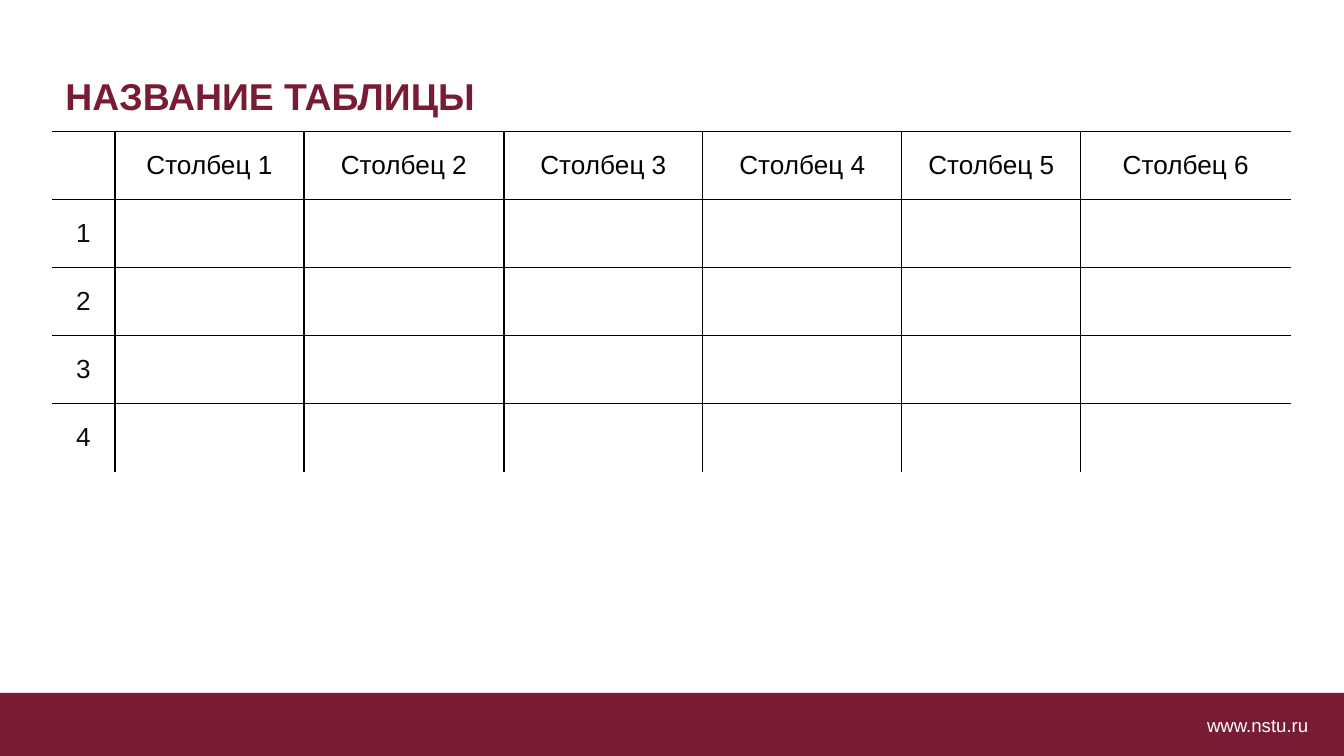
import pptx
import pptx.util
import pptx.dml.color
import pptx.enum.shapes
import pptx.enum.text
import pptx.oxml.ns
from lxml import etree

RGBColor = pptx.dml.color.RGBColor
PP_ALIGN = pptx.enum.text.PP_ALIGN
MAROON = RGBColor(0x78, 0x1C, 0x33)
WHITE = RGBColor(0xFF, 0xFF, 0xFF)
BLACK = RGBColor(0, 0, 0)
DARK = RGBColor(0x0D, 0x0D, 0x0D)

EMU_PER_PX = 914400 / 134.4
COL_WIDTHS = [63, 189, 200, 199, 199, 179, 210]
ROWS = 6

TITLE = {"size": pptx.util.Pt(20), "bold": True}
BODY = {"size": pptx.util.Pt(14), "bold": False}
SMALL = {"size": pptx.util.Pt(10), "bold": False}


def px(n):
    return pptx.util.Emu(round(n * EMU_PER_PX))


def write(tf, text, formats, color, align=PP_ALIGN.LEFT):
    p = tf.paragraphs[0]
    p.alignment = align
    r = p.add_run()
    r.text = text
    r.font.name = "Arial"
    r.font.color.rgb = color
    for name, value in formats.items():
        setattr(r.font, name, value)


def set_borders(cell, visible):
    """Draw the sides named in visible (L, R, T, B); hide the others."""
    qn = pptx.oxml.ns.qn
    tc_pr = cell._tc.get_or_add_tcPr()
    for side in "LRTB":
        ln = etree.SubElement(tc_pr, qn("a:ln" + side), w=str(pptx.util.Pt(0.75)))
        if side in visible:
            fill = etree.SubElement(ln, qn("a:solidFill"))
            etree.SubElement(fill, qn("a:srgbClr"), val=str(BLACK))
        else:
            etree.SubElement(ln, qn("a:noFill"))


def inner_sides(row, col):
    """The title row has only a rule below; the grid is open on the outside."""
    if row == 0:
        return "B"
    sides = "T"
    sides += "L" if col > 0 else ""
    sides += "R" if col < len(COL_WIDTHS) - 1 else ""
    sides += "B" if row < ROWS - 1 else ""
    return sides


def add_grid(s):
    cols = len(COL_WIDTHS)
    height = px(409)
    table = s.shapes.add_table(ROWS, cols, px(52), px(63),
                               px(sum(COL_WIDTHS)), height).table
    table.first_row = table.horz_banding = False
    for column, width in zip(table.columns, COL_WIDTHS):
        column.width = px(width)
    for row in table.rows:
        row.height = height // ROWS

    for i in range(ROWS):
        for j in range(cols):
            cell = table.cell(i, j)
            cell.margin_top = cell.margin_bottom = 0
            cell.vertical_anchor = pptx.enum.text.MSO_ANCHOR.MIDDLE
            set_borders(cell, inner_sides(i, j))
            cell.fill.background()

    # Title, column heads and row numbers
    table.cell(0, 0).merge(table.cell(0, cols - 1))
    write(table.cell(0, 0).text_frame, "НАЗВАНИЕ ТАБЛИЦЫ", TITLE, MAROON)
    for j in range(1, cols):
        write(table.cell(1, j).text_frame, f"Столбец {j}", BODY, BLACK, PP_ALIGN.CENTER)
    for i in range(2, ROWS):
        write(table.cell(i, 0).text_frame, str(i - 1), BODY, DARK, PP_ALIGN.CENTER)


def add_footer(s):
    bar = s.shapes.add_shape(pptx.enum.shapes.MSO_SHAPE.RECTANGLE,
                             px(0), px(693), px(1344), px(63))
    bar.shadow.inherit = False
    bar.fill.solid()
    bar.fill.fore_color.rgb = MAROON
    bar.line.fill.background()

    tf = s.shapes.add_textbox(px(1207), px(714), px(126), px(22)).text_frame
    tf.word_wrap = True
    for side in ("left", "right", "top", "bottom"):
        setattr(tf, "margin_" + side, 0)
    write(tf, "www.nstu.ru", SMALL, WHITE)


def main():
    prs = pptx.Presentation()
    prs.slide_width, prs.slide_height = px(1344), px(756)
    s = prs.slides.add_slide(prs.slide_layouts[6])
    add_footer(s)
    add_grid(s)
    prs.save("out.pptx")


if __name__ == "__main__":
    main()
